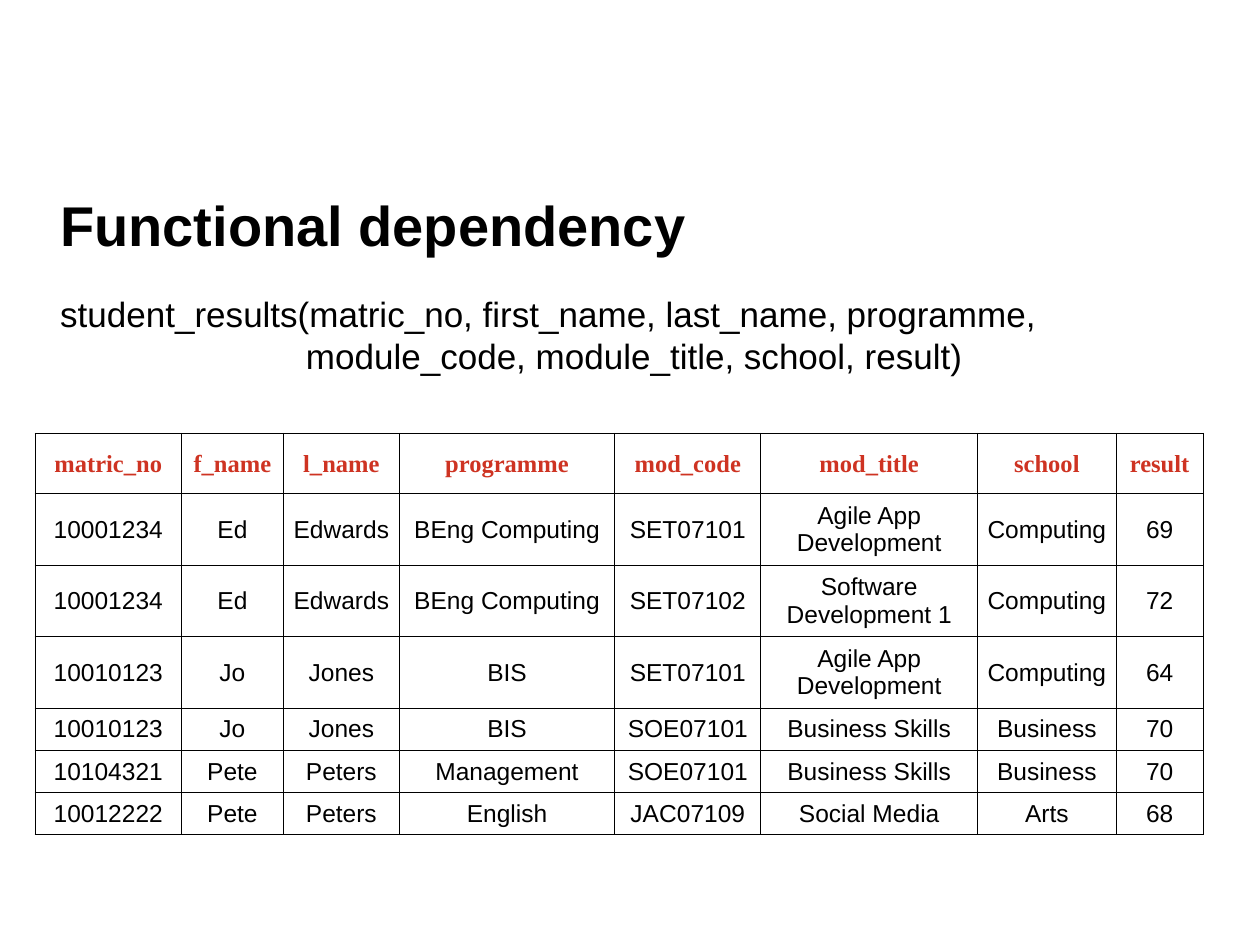
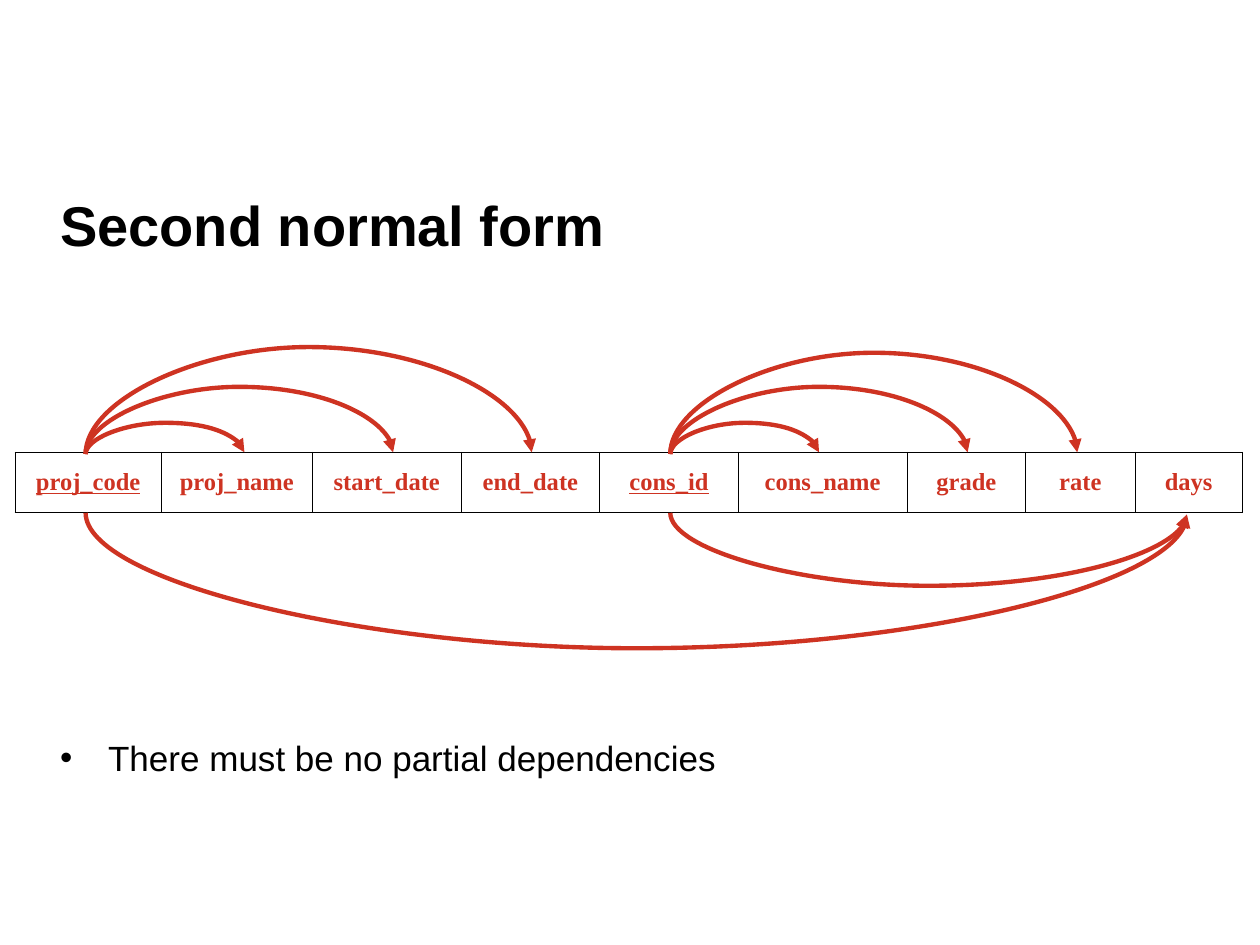
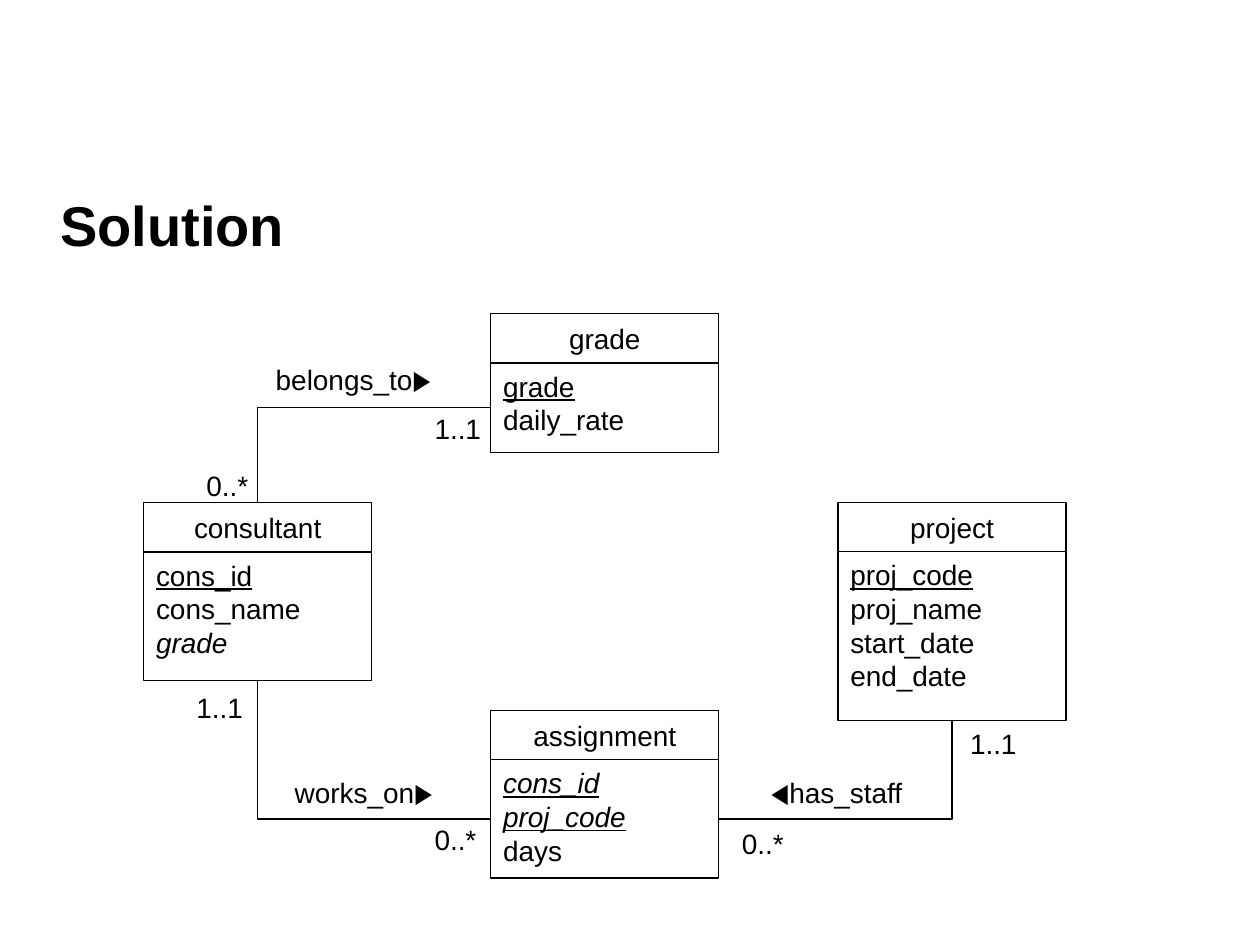
from dataclasses import dataclass, replace

from lxml.etree import SubElement
from pptx import Presentation
from pptx.dml.color import RGBColor
from pptx.enum.shapes import MSO_CONNECTOR, MSO_SHAPE
from pptx.enum.text import MSO_ANCHOR, MSO_AUTO_SIZE, PP_ALIGN
from pptx.oxml.ns import qn
from pptx.shapes.autoshape import Shape
from pptx.shapes.connector import Connector
from pptx.slide import Slide
from pptx.util import Emu, Inches, Length, Pt

BLACK, WHITE, RED = "000000", "FFFFFF", "CE3322"
COLUMNS, ROWS = 100, 75
SLIDE_WIDTH, SLIDE_HEIGHT = Inches(10), Inches(7.5)
HAIRLINE = Pt(0.75)
TOP, LEFT, BOTTOM, RIGHT = range(4)  # connection sites of a rectangle


@dataclass(frozen=True)
class Box:
    """A place on the slide grid of 100 columns by 75 rows."""
    column: float
    row: float
    columns: float
    rows: float

    def lengths(self) -> tuple[Length, Length, Length, Length]:
        return (across(self.column), down(self.row),
                across(self.columns), down(self.rows))


@dataclass(frozen=True)
class Style:
    size: float
    font: str = "Arial"
    colour: str = BLACK
    bold: bool = False
    underline: bool = False
    italic: bool = False


@dataclass(frozen=True)
class Attribute:
    name: str
    primary: bool = False
    foreign: bool = False


@dataclass(frozen=True)
class Entity:
    name: str
    column: float
    row: float
    rows: float
    attributes: tuple[Attribute, ...]


@dataclass(frozen=True)
class Dependency:
    """An arc between two columns, reaching rise points away from the table."""
    source: float
    target: float
    rise: float
    above: bool = True


TITLE = Style(32, bold=True)
BODY = Style(20)
HEADING = Style(14, "Times New Roman", RED, bold=True)
CELL = Style(14)
DIAGRAM = Style(16)

TITLE_BOX = Box(3.8, 14, 92.4, 7.6)

RESULT_WIDTHS = (11.6, 8.1, 9.2, 17.1, 11.6, 17.2, 11, 6.9)
RESULT_HEIGHTS = (4.8,) + (4.3,) * 3 + (3.1,) * 3
RESULTS = (
    ("matric_no", "f_name", "l_name", "programme", "mod_code", "mod_title", "school", "result"),
    ("10001234", "Ed", "Edwards", "BEng Computing", "SET07101", "Agile App Development", "Computing", "69"),
    ("10001234", "Ed", "Edwards", "BEng Computing", "SET07102", "Software Development 1", "Computing", "72"),
    ("10010123", "Jo", "Jones", "BIS", "SET07101", "Agile App Development", "Computing", "64"),
    ("10010123", "Jo", "Jones", "BIS", "SOE07101", "Business Skills", "Business", "70"),
    ("10104321", "Pete", "Peters", "Management", "SOE07101", "Business Skills", "Business", "70"),
    ("10012222", "Pete", "Peters", "English", "JAC07109", "Social Media", "Arts", "68"),
)

PROJECT_WIDTHS = (11.6, 12, 11.8, 11, 11, 13.4, 9.4, 8.7, 8.5)
PROJECT_FIELDS = ("proj_code", "proj_name", "start_date", "end_date", "cons_id",
                  "cons_name", "grade", "rate", "days")
PROJECT_KEYS = ("proj_code", "cons_id")
PROJECT_TOP, PROJECT_HEIGHT = 35.9, 4.8
PROJ_CODE, CONS_ID, DAYS = 6.8, 53.2, 94.2
DEPENDENCIES = (
    Dependency(PROJ_CODE, 19.4, 18),
    Dependency(PROJ_CODE, 31.2, 38.73),
    Dependency(PROJ_CODE, 42.2, 61.64),
    Dependency(CONS_ID, 65, 18),
    Dependency(CONS_ID, 76.8, 38.73),
    Dependency(CONS_ID, 85.5, 58.36),
    Dependency(CONS_ID, DAYS, 42, above=False),
    Dependency(PROJ_CODE, DAYS, 78, above=False),
)

ENTITY_WIDTH, ENTITY_HEADER = 18.1, 3.9
FIRST_ENTITY, MIDDLE_ENTITY, LAST_ENTITY = (11.4 + 27.55 * n for n in range(3))
ENTITIES = (
    Entity("consultant", FIRST_ENTITY, 39.9, 10.2, (
        Attribute("cons_id", primary=True), Attribute("cons_name"),
        Attribute("grade", foreign=True))),
    Entity("project", LAST_ENTITY, 39.9, 13.4, (
        Attribute("proj_code", primary=True), Attribute("proj_name"),
        Attribute("start_date"), Attribute("end_date"))),
    Entity("assignment", MIDDLE_ENTITY, 56.4, 9.4, (
        Attribute("cons_id", True, True), Attribute("proj_code", True, True),
        Attribute("days"))),
    Entity("grade", MIDDLE_ENTITY, 24.9, 7.1, (
        Attribute("grade", primary=True), Attribute("daily_rate"))),
)
LABEL_HEIGHT = 3.7
RELATION_LABELS = (
    ("1..1", 14.6, 54.3, 7.1),
    ("0..*", 15.4, 36.7, 7.1),
    ("0..*", 57.9, 65.1, 7.1),
    ("1..1", 76, 57.2, 7.1),
    ("◀has_staff", 60.2, 61.1, 19.7),
    ("works_on▶", 22.4, 61.1, 14.2),
    ("1..1", 33.5, 32.2, 7.1),
    ("belongs_to▶", 20.9, 28.3, 15.7),
    ("0..*", 33.5, 64.8, 7.1),
)


def across(columns: float) -> Length:
    return Emu(round(SLIDE_WIDTH * columns / COLUMNS))


def down(rows: float) -> Length:
    return Emu(round(SLIDE_HEIGHT * rows / ROWS))


def rgb(colour: str) -> RGBColor:
    return RGBColor.from_string(colour)


def add_run(paragraph, text: str, style: Style) -> None:
    run = paragraph.add_run()
    run.text = text
    font = run.font
    font.name, font.size = style.font, Pt(style.size)
    font.bold, font.italic, font.underline = style.bold, style.italic, style.underline
    font.color.rgb = rgb(style.colour)


def add_text(slide: Slide, box: Box, text: str, style: Style,
             anchor: MSO_ANCHOR = MSO_ANCHOR.TOP, hanging: float = 0,
             bullet: str = "", grow: bool = False) -> None:
    frame = slide.shapes.add_textbox(*box.lengths()).text_frame
    frame.word_wrap = True
    frame.vertical_anchor = anchor
    if grow:
        frame.auto_size = MSO_AUTO_SIZE.SHAPE_TO_FIT_TEXT
    paragraph = frame.paragraphs[0]
    if hanging:
        properties = paragraph._p.get_or_add_pPr()
        properties.set("marL", str(across(hanging)))
        properties.set("indent", str(-across(hanging)))
        if bullet:
            SubElement(properties, qn("a:buFont")).set("typeface", style.font)
            SubElement(properties, qn("a:buChar")).set("char", bullet)
    add_run(paragraph, text, style)


def add_titled_slide(presentation, title: str) -> Slide:
    slide = presentation.slides.add_slide(presentation.slide_layouts[6])
    add_text(slide, TITLE_BOX, title, TITLE, MSO_ANCHOR.MIDDLE)
    return slide


def border_cell(cell) -> None:
    properties = cell._tc.get_or_add_tcPr()
    for position, side in enumerate(("lnL", "lnR", "lnT", "lnB")):
        line = SubElement(properties, qn(f"a:{side}"), w=str(HAIRLINE))
        fill = SubElement(line, qn("a:solidFill"))
        SubElement(fill, qn("a:srgbClr"), val=BLACK)
        properties.insert(position, line)


def add_relation(slide: Slide, left: float, top: float, widths: tuple[float, ...],
                 heights: tuple[float, ...], records: tuple[tuple[str, ...], ...],
                 keys: tuple[str, ...] = ()) -> None:
    """Draw a table whose first record holds the headings; keys are underlined."""
    box = Box(left, top, sum(widths), sum(heights))
    table = slide.shapes.add_table(len(records), len(widths), *box.lengths()).table
    table.first_row = table.horz_banding = False
    for column, width in zip(table.columns, widths):
        column.width = across(width)
    for row, height, record in zip(table.rows, heights, records):
        row.height = down(height)
        heading = record is records[0]
        for cell, value in zip(row.cells, record):
            cell.margin_left = cell.margin_right = Inches(0.05)
            cell.margin_top = cell.margin_bottom = Inches(0.05)
            cell.vertical_anchor = MSO_ANCHOR.MIDDLE
            if heading:
                cell.fill.solid()
                cell.fill.fore_color.rgb = rgb(WHITE)
            else:
                cell.fill.background()
            border_cell(cell)
            paragraph = cell.text_frame.paragraphs[0]
            paragraph.alignment = PP_ALIGN.CENTER
            style = replace(HEADING, underline=value in keys) if heading else CELL
            add_run(paragraph, value, style)


def finish_connector(connector: Connector, colour: str, width: Length) -> None:
    connector.line.color.rgb = rgb(colour)
    connector.line.width = width
    SubElement(connector._element.spPr, qn("a:effectLst"))


def add_dependency(slide: Slide, dependency: Dependency) -> None:
    """Draw a curve one point thick in height, turned a quarter, with its bulge in points."""
    edge = down(PROJECT_TOP if dependency.above else PROJECT_TOP + PROJECT_HEIGHT)
    span = across(dependency.target - dependency.source)
    middle_x = across((dependency.source + dependency.target) / 2)
    middle_y = edge + Pt(0.5)
    connector = slide.shapes.add_connector(MSO_CONNECTOR.CURVE, 0, 0, Pt(1), span)
    connector.left, connector.top = middle_x - Pt(0.5), middle_y - span // 2
    properties = connector._element.spPr
    transform = properties.find(qn("a:xfrm"))
    transform.set("rot", str((90 if dependency.above else 270) * 60000))
    transform.set("flipH", "1")
    if dependency.above:
        transform.set("flipV", "1")
    adjustments = properties.find(qn("a:prstGeom")).find(qn("a:avLst"))
    SubElement(adjustments, qn("a:gd"), name="adj1",
               fmla=f"val {round(dependency.rise * 100000)}")
    finish_connector(connector, RED, Pt(2.5))
    SubElement(connector.line._get_or_add_ln(), qn("a:tailEnd"), type="triangle")


def add_compartment(slide: Slide, box: Box) -> Shape:
    compartment = slide.shapes.add_shape(MSO_SHAPE.RECTANGLE, *box.lengths())
    compartment.shadow.inherit = False
    compartment.fill.solid()
    compartment.fill.fore_color.rgb = rgb(WHITE)
    compartment.line.color.rgb = rgb(BLACK)
    compartment.line.width = HAIRLINE
    return compartment


def add_entity(slide: Slide, entity: Entity) -> tuple[Shape, Shape]:
    header = add_compartment(
        slide, Box(entity.column, entity.row, ENTITY_WIDTH, ENTITY_HEADER))
    header.text_frame.vertical_anchor = MSO_ANCHOR.MIDDLE
    heading = header.text_frame.paragraphs[0]
    heading.alignment = PP_ALIGN.CENTER
    add_run(heading, entity.name, DIAGRAM)

    body = add_compartment(
        slide, Box(entity.column, entity.row + ENTITY_HEADER, ENTITY_WIDTH, entity.rows))
    frame = body.text_frame
    frame.vertical_anchor = MSO_ANCHOR.TOP
    for number, attribute in enumerate(entity.attributes):
        paragraph = frame.add_paragraph() if number else frame.paragraphs[0]
        paragraph.alignment = PP_ALIGN.LEFT
        add_run(paragraph, attribute.name, replace(
            DIAGRAM, underline=attribute.primary, italic=attribute.foreign))
    return header, body


def add_relationship(slide: Slide, start: Shape, start_site: int,
                     end: Shape, end_site: int) -> None:
    """Join two compartments by a line that runs sideways, then up or down."""
    connector = slide.shapes.add_connector(MSO_CONNECTOR.ELBOW, 0, 0, 0, 0)
    connector.begin_connect(start, start_site)
    connector.end_connect(end, end_site)
    connector._element.spPr.find(qn("a:prstGeom")).set("prst", "bentConnector2")
    finish_connector(connector, BLACK, HAIRLINE)


def build_functional_dependency(presentation) -> None:
    slide = add_titled_slide(presentation, "Functional dependency")
    add_text(slide, Box(3.8, 22.7, 92.4, 11.6),
             "student_results(matric_no, first_name, last_name, programme, "
             "module_code, module_title, school, result)", BODY, hanging=19.5)
    add_relation(slide, 2.8, 34.4, RESULT_WIDTHS, RESULT_HEIGHTS, RESULTS)


def build_second_normal_form(presentation) -> None:
    slide = add_titled_slide(presentation, "Second normal form")
    add_relation(slide, 1.2, PROJECT_TOP, PROJECT_WIDTHS, (PROJECT_HEIGHT,),
                 (PROJECT_FIELDS,), PROJECT_KEYS)
    for dependency in DEPENDENCIES:
        add_dependency(slide, dependency)
    add_text(slide, Box(3.8, 58, 92.4, 11), "There must be no partial dependencies",
             BODY, hanging=3.8, bullet="•")


def build_solution(presentation) -> None:
    slide = add_titled_slide(presentation, "Solution")
    consultant, project, assignment, grade = (
        add_entity(slide, entity) for entity in ENTITIES)
    consultant_header, consultant_body = consultant
    project_body, assignment_body, grade_body = project[1], assignment[1], grade[1]
    add_relationship(slide, assignment_body, LEFT, consultant_body, BOTTOM)
    add_relationship(slide, assignment_body, RIGHT, project_body, BOTTOM)
    add_relationship(slide, grade_body, LEFT, consultant_header, TOP)
    for text, column, row, columns in RELATION_LABELS:
        add_text(slide, Box(column, row, columns, LABEL_HEIGHT), text, DIAGRAM, grow=True)


def main() -> None:
    presentation = Presentation()
    presentation.slide_width, presentation.slide_height = SLIDE_WIDTH, SLIDE_HEIGHT
    build_functional_dependency(presentation)
    build_second_normal_form(presentation)
    build_solution(presentation)
    presentation.save("out.pptx")


if __name__ == "__main__":
    main()
